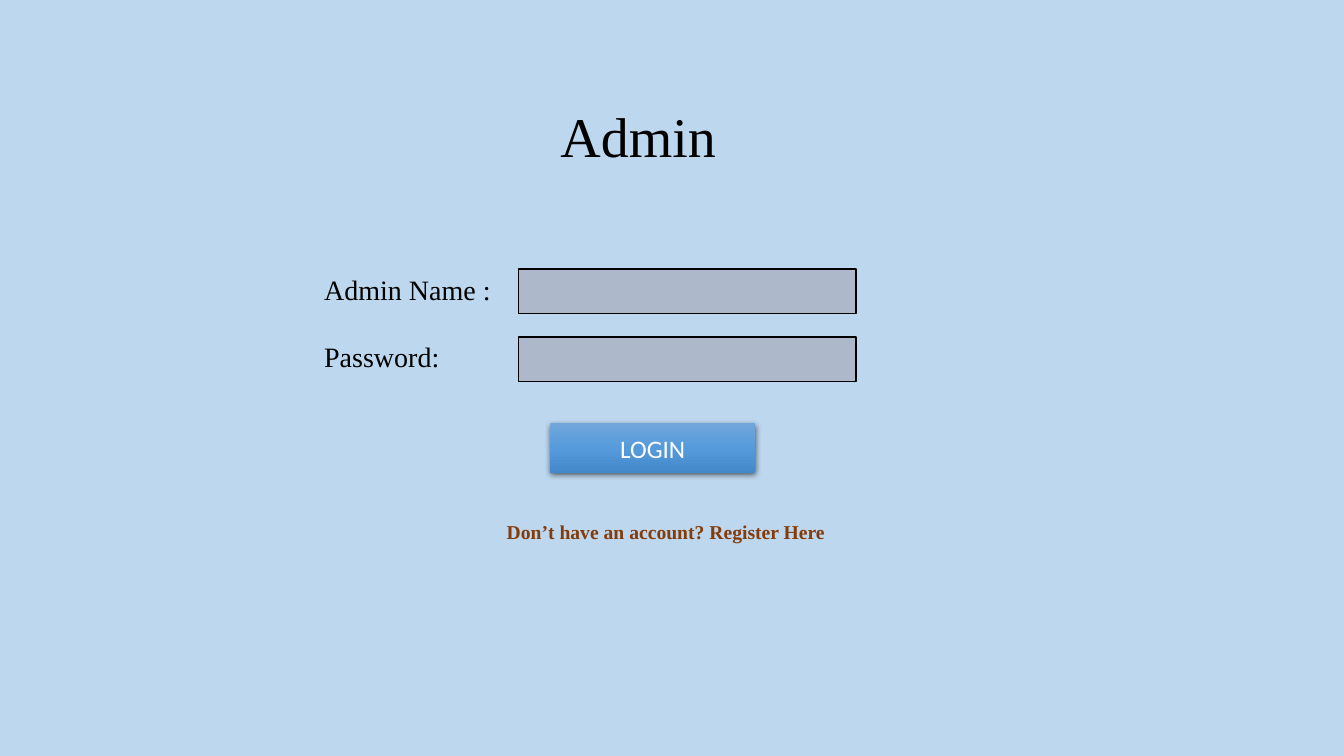
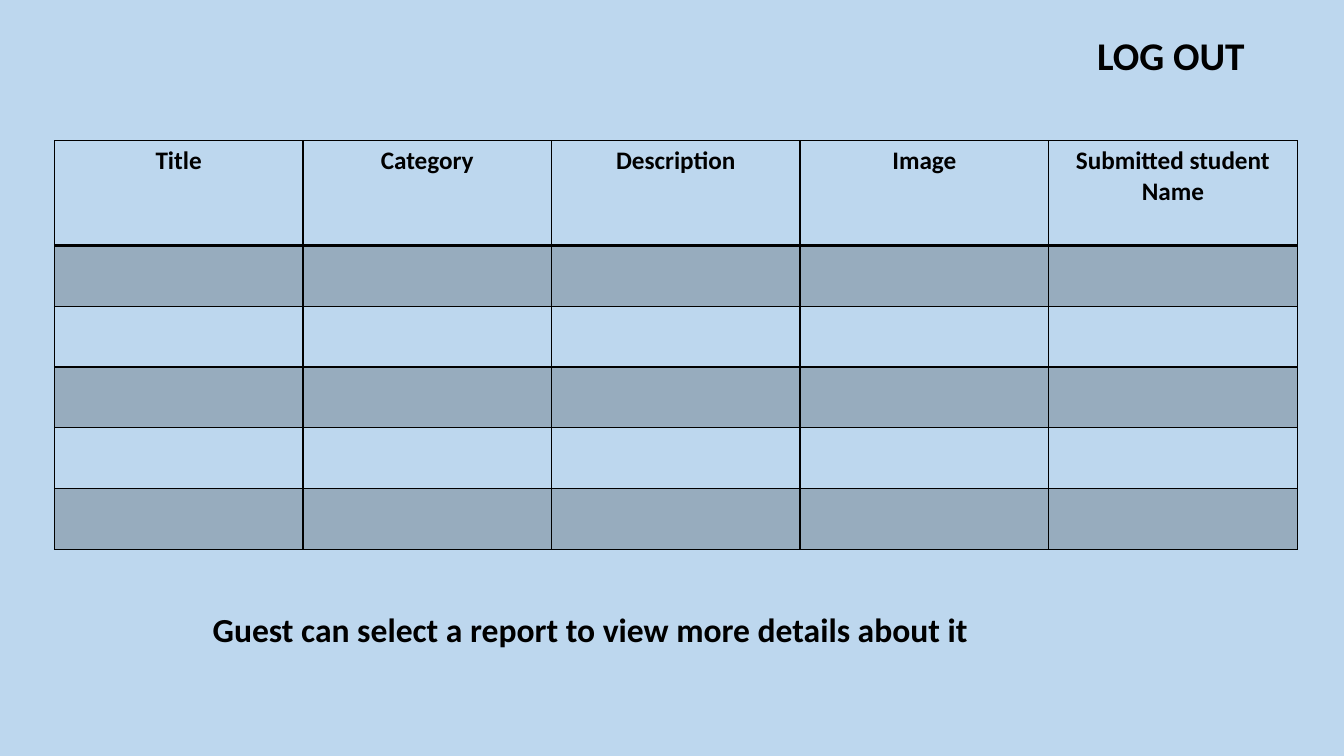
"""Builds the admin login page and the guest report list."""
from dataclasses import dataclass

from lxml.etree import SubElement
from pptx import Presentation
from pptx.dml.color import RGBColor as Color
from pptx.enum.shapes import MSO_SHAPE as Shape
from pptx.enum.text import MSO_ANCHOR as Anchor, MSO_AUTO_SIZE as AutoSize, PP_ALIGN as Align
from pptx.oxml import parse_xml
from pptx.oxml.ns import nsdecls, qn
from pptx.util import Cm, Pt

LOGIN_TITLE = "Admin"
FIELDS = ["Admin Name :", "Password:"]
BUTTON = "LOGIN"
REGISTER = "Don’t have an account? Register Here"
LOG_OUT = "LOG OUT"
COLUMNS = ["Title", "Category", "Description", "Image", "Submitted student Name"]
REPORT_ROWS = 5
HINT = "Guest can select a report to view more details about it"


@dataclass(frozen=True)
class Theme:
    """Colours, fonts and type sizes shared by the pages."""
    background: str = "BDD7EE"
    ink: str = "000000"
    field: str = "ADB9CA"
    link: str = "843C0B"
    white: str = "FFFFFF"
    button: tuple = ("71A6DB", "559BDB", "448ACA")
    serif: str = "Times New Roman"
    sans: str = "Calibri"
    heading: int = 40
    action: int = 28
    hint: int = 24
    label: int = 20
    body: int = 18
    small: int = 14
    band_opacity: int = 20
    shadow_opacity: int = 63


THEME = Theme()


def write(frame, text, size, font=THEME.sans, color=THEME.ink, bold=False, align=Align.LEFT):
    """Put one formatted paragraph into a text frame."""
    frame.text = text
    para = frame.paragraphs[0]
    para.alignment = align
    para.font.name = font
    para.font.size = Pt(size)
    para.font.bold = bold
    para.font.color.rgb = Color.from_string(color)


def place(shape, area):
    """Move a shape to left, top, width and height in centimetres."""
    shape.left, shape.top, shape.width, shape.height = map(Cm, area)


def add_page(deck, title, area, size, **style):
    """Add a page with its title placeholder placed and formatted."""
    page = deck.slides.add_slide(deck.slide_layouts[5])
    place(page.shapes.title, area)
    frame = page.shapes.title.text_frame
    frame.auto_size = AutoSize.NONE
    frame.vertical_anchor = Anchor.TOP
    write(frame, title, size, **style)
    return page


def add_text(page, area, text, size, **style):
    """Add a wrapped text box."""
    box = page.shapes.add_textbox(*map(Cm, area))
    box.text_frame.word_wrap = True
    write(box.text_frame, text, size, **style)


def add_field(page, area):
    """Add an empty outlined entry field."""
    field = page.shapes.add_shape(Shape.RECTANGLE, *map(Cm, area))
    field.shadow.inherit = False
    field.fill.solid()
    field.fill.fore_color.rgb = Color.from_string(THEME.field)
    field.line.color.rgb = Color.from_string(THEME.ink)
    field.line.width = Pt(1)


def add_button(page, area, text):
    """Add a button with a vertical gradient and a soft shadow."""
    button = page.shapes.add_shape(Shape.RECTANGLE, *map(Cm, area))
    button.line.fill.background()
    stops = "".join(
        f'<a:gs pos="{index * 50000}"><a:srgbClr val="{color}"/></a:gs>'
        for index, color in enumerate(THEME.button))
    properties = button._element.spPr
    properties.insert(2, parse_xml(
        f'<a:gradFill {nsdecls("a")}><a:gsLst>{stops}</a:gsLst>'
        '<a:lin ang="5400000" scaled="0"/></a:gradFill>'))
    properties.append(parse_xml(
        f'<a:effectLst {nsdecls("a")}><a:outerShdw blurRad="{Pt(4.5)}" dist="{Pt(1.5)}" '
        f'dir="5400000" algn="ctr" rotWithShape="0"><a:srgbClr val="{THEME.ink}">'
        f'<a:alpha val="{THEME.shadow_opacity * 1000}"/></a:srgbClr></a:outerShdw></a:effectLst>'))
    button.text_frame.vertical_anchor = Anchor.MIDDLE
    write(button.text_frame, text, THEME.body, color=THEME.white, align=Align.CENTER)


def style_cell(cell, banded, bottom):
    """Fill a cell when banded and outline it, with the bottom width in points."""
    if banded:
        cell.fill.solid()
        cell.fill.fore_color.rgb = Color.from_string(THEME.ink)
    else:
        cell.fill.background()
    properties = cell._tc.get_or_add_tcPr()
    for color in properties.iter(qn("a:srgbClr")):
        SubElement(color, qn("a:alpha"), val=str(THEME.band_opacity * 1000))
    for index, (side, width) in enumerate({"L": 1, "R": 1, "T": 1, "B": bottom}.items()):
        properties.insert(index, parse_xml(
            f'<a:ln{side} {nsdecls("a")} w="{Pt(width)}"><a:solidFill>'
            f'<a:srgbClr val="{THEME.ink}"/></a:solidFill></a:ln{side}>'))


def add_report_table(page, left, top, width, header_height, row_height):
    """Add the report table with a header and alternating empty rows."""
    height = header_height + REPORT_ROWS * row_height
    table = page.shapes.add_table(
        REPORT_ROWS + 1, len(COLUMNS), *map(Cm, (left, top, width, height))).table
    table.first_row = table.horz_banding = False
    for column in table.columns:
        column.width = Cm(width / len(COLUMNS))
    for index, row in enumerate(table.rows):
        row.height = Cm(row_height if index else header_height)
        for cell in row.cells:
            style_cell(cell, banded=index % 2 == 1, bottom=1 if index else 2)
    for cell, heading in zip(table.rows[0].cells, COLUMNS):
        write(cell.text_frame, heading, THEME.body, bold=True, align=Align.CENTER)


def build_login(deck):
    """Build the login form."""
    page = add_page(deck, LOGIN_TITLE, (13.87, 2.44, 11.28, 1.96), THEME.heading, font=THEME.serif)
    for index, label in enumerate(FIELDS):
        top = 6.73 + index * 1.71
        add_text(page, (7.92, top, 5.26, 1.12), label, THEME.label, font=THEME.serif)
        add_field(page, (13.06, top + 0.05, 8.51, 1.12))
    add_button(page, (13.87, 10.67, 5.16, 1.24), BUTTON)
    add_text(page, (12.52, 12.98, 11.86, 0.86), REGISTER, THEME.small,
             font=THEME.serif, color=THEME.link, bold=True)


def build_reports(deck):
    """Build the report list."""
    page = add_page(deck, LOG_OUT, (26.09, 0.66, 6.83, 1.45), THEME.action,
                    bold=True, align=Align.CENTER)
    add_report_table(page, left=1.37, top=3.55, width=31.32, header_height=2.64, row_height=1.53)
    add_text(page, (5.11, 15.21, 23.67, 1.27), HINT, THEME.hint, bold=True)


def main():
    """Create the deck and save it."""
    deck = Presentation()
    deck.slide_width, deck.slide_height = Cm(33.87), Cm(19.05)
    backdrop = deck.slide_master.background.fill
    backdrop.solid()
    backdrop.fore_color.rgb = Color.from_string(THEME.background)
    build_login(deck)
    build_reports(deck)
    deck.save("out.pptx")


main()
